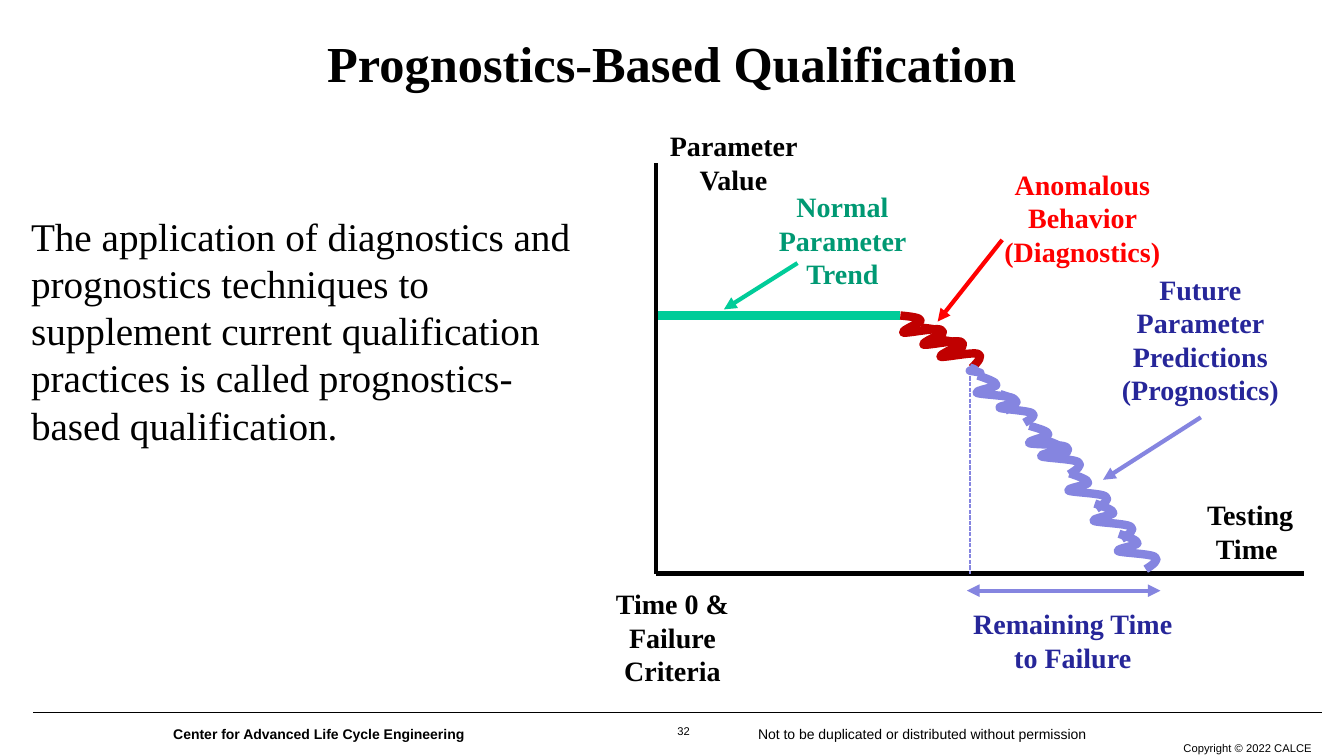
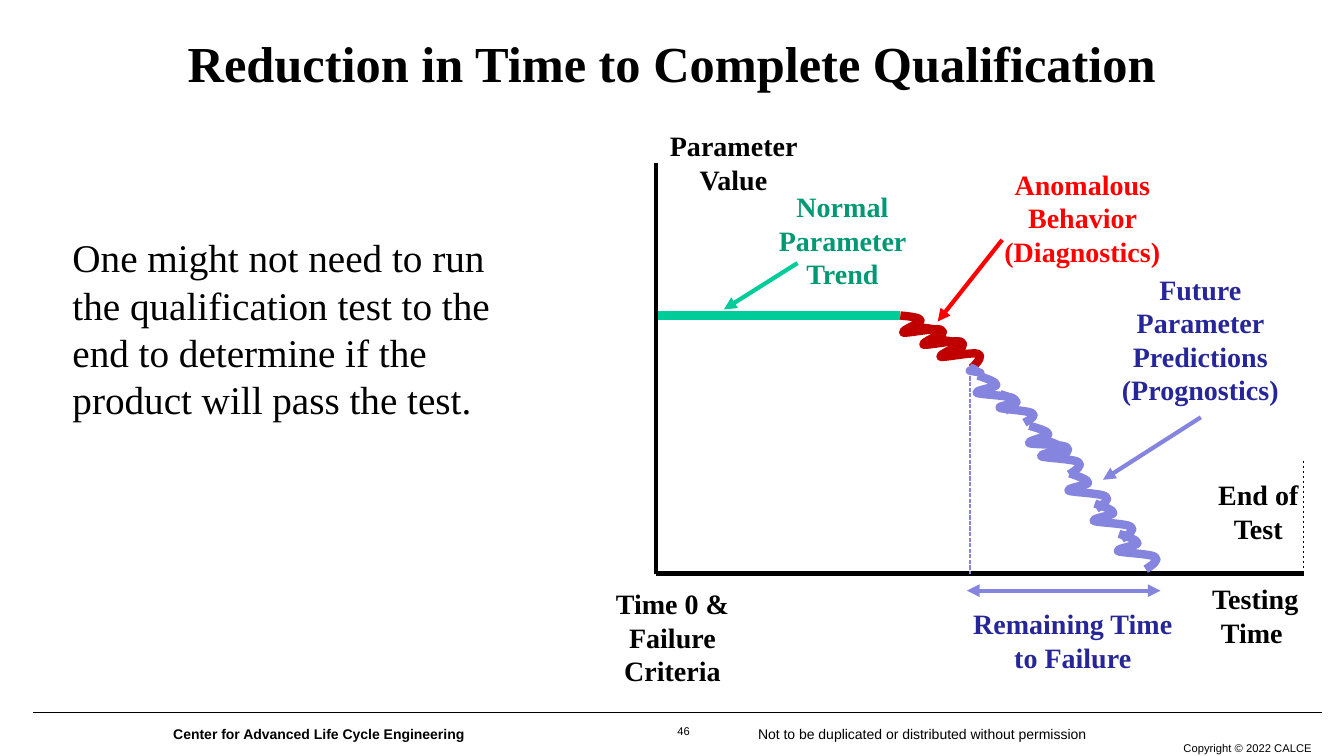
from dataclasses import dataclass
from typing import Optional

from lxml import etree
from pptx import Presentation
from pptx.dml.color import RGBColor
from pptx.enum.dml import MSO_LINE
from pptx.enum.shapes import MSO_CONNECTOR
from pptx.enum.text import MSO_ANCHOR, MSO_AUTO_SIZE, PP_ALIGN
from pptx.oxml.ns import qn
from pptx.util import Inches, Pt

BLACK = RGBColor(0x00, 0x00, 0x00)
RED = RGBColor(0xFF, 0x00, 0x00)
DARK_RED = RGBColor(0xC0, 0x00, 0x00)
GREEN = RGBColor(0x00, 0xCC, 0x99)
DARK_GREEN = RGBColor(0x00, 0x99, 0x73)
VIOLET = RGBColor(0x85, 0x85, 0xE0)
NAVY = RGBColor(0x26, 0x26, 0x99)

SERIF, SANS = "Times New Roman", "Arial"
LEFT, CENTER, RIGHT = PP_ALIGN.LEFT, PP_ALIGN.CENTER, PP_ALIGN.RIGHT
MIDDLE = MSO_ANCHOR.MIDDLE
GROW, FIXED = MSO_AUTO_SIZE.SHAPE_TO_FIT_TEXT, MSO_AUTO_SIZE.NONE
STRAIGHT = MSO_CONNECTOR.STRAIGHT
SHORT_DASH, DASH = MSO_LINE.SQUARE_DOT, MSO_LINE.DASH

SLIDE_W, SLIDE_H = 13.33, 7.5
AXIS_X, AXIS_Y, AXIS_END = 6.51, 5.69, 12.93
TREND_Y, TREND_END = 3.13, 8.93
WAVE_W, WAVE_H = 42, 28
WAVE_CURVES = [
    ((10, 1), (20, 2), (20, 5)),
    ((21, 7), (0, 15), (3, 17)),
    ((6, 18), (35, 12), (40, 14)),
    ((45, 16), (40, 22), (34, 28)),
]


@dataclass
class Label:
    text: str
    x: float
    y: float
    w: float
    h: float
    color: RGBColor = BLACK
    size: float = 20
    bold: bool = True
    font: str = SERIF
    align: PP_ALIGN = CENTER


@dataclass
class Line:
    x1: float
    y1: float
    x2: float
    y2: float
    color: RGBColor = BLACK
    width: float = 3
    dash: Optional[MSO_LINE] = None
    ends: tuple[str, ...] = ()


@dataclass
class Wave:
    x: float
    y: float
    rotation: float = 13.4
    color: RGBColor = VIOLET
    w: float = 0.42
    h: float = 0.28


@dataclass
class Page:
    number: str
    title: str
    body: Label
    labels: list[Label]
    lines: list[Line]


CHART_LINES = [
    Line(AXIS_X, AXIS_Y, AXIS_END, AXIS_Y),
    Line(9.62, 3.68, 9.62, AXIS_Y, VIOLET, 1, SHORT_DASH),
    Line(9.94, 2.38, 9.3, 3.19, RED, ends=("tailEnd",)),
    Line(11.91, 4.14, 10.94, 4.76, VIOLET, ends=("tailEnd",)),
    Line(7.91, 2.61, 7.18, 3.07, GREEN, ends=("tailEnd",)),
    Line(AXIS_X, TREND_Y, TREND_END, TREND_Y, GREEN, 6),
    Line(AXIS_X, AXIS_Y, AXIS_X, 1.62),
    Line(9.59, 5.86, 11.51, 5.86, VIOLET, ends=("headEnd", "tailEnd")),
]
WAVES = [
    Wave(10.3, 4.4),
    Wave(10.57, 4.74),
    Wave(10.82, 5.04),
    Wave(11.06, 5.34),
    Wave(9.66, 3.77),
    Wave(9.89, 3.95, w=0.37, h=0.22),
    Wave(TREND_END, TREND_Y, 0, DARK_RED),
    Wave(10.18, 4.26, 10.6),
    Wave(9.13, 3.25, 0, DARK_RED),
    Wave(9.3, 3.37, 0, DARK_RED),
    Wave(9.61, 3.66, w=0.12, h=0.05),
]
CHART_LABELS = [
    Label("Anomalous Behavior (Diagnostics)", 9.78, 1.61, 1.91, 1.11, RED),
    Label("Future Parameter Predictions (Prognostics)", 11.02, 2.65, 1.77, 1.45, NAVY),
    Label("Normal Parameter Trend", 7.55, 1.83, 1.61, 1.11, DARK_GREEN),
    Label("Parameter Value", 6.54, 1.23, 1.47, 0.77),
    Label("Remaining Time to Failure", 9.44, 5.97, 2.4, 0.77, NAVY),
    Label("Time 0 & Failure Criteria", 5.67, 5.77, 2, 1.11),
]
BODY_STYLE = {"size": 28, "bold": False, "align": LEFT}
SMALL_STYLE = {"size": 8, "bold": False, "font": SANS}
PAGES = [
    Page(
        "32",
        "Prognostics-Based Qualification",
        Label(
            "The application of diagnostics and prognostics techniques to supplement "
            "current qualification practices is called prognostics-based qualification.",
            0.21, 2.06, 5.73, 2.46, **BODY_STYLE,
        ),
        [Label("Testing Time ", 11.85, 4.89, 1.1, 0.77)],
        [],
    ),
    Page(
        "46",
        "Reduction in Time to Complete Qualification",
        Label(
            "One might not need to run the qualification test to the end to determine "
            "if the product will pass the test.",
            0.62, 2.27, 4.85, 1.99, **BODY_STYLE,
        ),
        [
            Label("Testing Time ", 11.9, 5.72, 1.1, 0.77),
            Label("End of Test", 11.92, 4.69, 1.12, 0.77),
        ],
        [Line(AXIS_END, 4.57, AXIS_END, AXIS_Y, BLACK, 0.5, DASH)],
    ),
]


def add_run(p, text: str, label: Label, bold: bool) -> None:
    r = p.add_run()
    r.text = text
    font = {"name": label.font, "size": Pt(label.size), "bold": bold}
    for name, value in font.items():
        setattr(r.font, name, value)
    r.font.color.rgb = label.color


def add_label(s, label: Label):
    sp = s.shapes.add_textbox(
        Inches(label.x), Inches(label.y), Inches(label.w), Inches(label.h)
    )
    tf = sp.text_frame
    tf.word_wrap = True
    tf.auto_size = GROW
    p = tf.paragraphs[0]
    p.alignment = label.align
    if label.text:
        add_run(p, label.text, label, label.bold)
    return tf


def add_line(s, line: Line) -> None:
    cn = s.shapes.add_connector(
        STRAIGHT, Inches(line.x1), Inches(line.y1), Inches(line.x2), Inches(line.y2)
    )
    cn.line.color.rgb = line.color
    cn.line.width = Pt(line.width)
    if line.dash is not None:
        cn.line.dash_style = line.dash
    sp_pr = cn._element.spPr
    ln = sp_pr.find(qn("a:ln"))
    for end in line.ends:
        etree.SubElement(ln, qn(f"a:{end}"), type="triangle")
    etree.SubElement(sp_pr, qn("a:effectLst"))


def set_wave_outline(sp) -> None:
    outline = next(sp._element.iter(qn("a:path")))
    outline.set("w", str(WAVE_W))
    outline.set("h", str(WAVE_H))
    for child in list(outline):
        outline.remove(child)
    for tag, points in [("moveTo", ((0, 0),))] + [
        ("cubicBezTo", curve) for curve in WAVE_CURVES
    ]:
        segment = etree.SubElement(outline, qn(f"a:{tag}"))
        for x, y in points:
            etree.SubElement(segment, qn("a:pt"), x=str(x), y=str(y))


def add_wave(s, wave: Wave) -> None:
    builder = s.shapes.build_freeform(Inches(wave.x), Inches(wave.y))
    corner = (Inches(wave.x + wave.w), Inches(wave.y + wave.h))
    builder.add_line_segments([corner], close=False)
    sp = builder.convert_to_shape()
    set_wave_outline(sp)
    sp.shadow.inherit = False
    sp.fill.background()
    sp.line.color.rgb = wave.color
    sp.line.width = Pt(6)
    sp.rotation = wave.rotation


def add_footer(s, number: str) -> None:
    tf = add_label(s, Label(number, 6.61, 7.16, 0.34, 0.22, **SMALL_STYLE))
    tf.paragraphs[0].line_spacing = 0.85
    add_line(s, Line(0.33, 7.07, 13.11, 7.07, width=1))
    add_label(
        s,
        Label("Copyright © 2022 CALCE", 11.03, 7.31, 2.08, 0.24,
              align=RIGHT, **SMALL_STYLE),
    )
    notice = Label("", 1.62, 7.15, 9.67, 0.27, size=10, font=SANS, align=LEFT)
    p = add_label(s, notice).paragraphs[0]
    tabs = etree.SubElement(p._p.get_or_add_pPr(), qn("a:tabLst"))
    etree.SubElement(tabs, qn("a:tab"), pos=str(Inches(5.8)), algn="l")
    add_run(p, "Center for Advanced Life Cycle Engineering\t", notice, True)
    add_run(p, "Not to be duplicated or distributed without permission", notice, False)


def add_title(s, title: str) -> None:
    tf = add_label(s, Label(title, 0, 0, SLIDE_W, 1.23, size=36))
    tf.auto_size = FIXED
    tf.vertical_anchor = MIDDLE


def add_page(prs, page: Page) -> None:
    s = prs.slides.add_slide(prs.slide_layouts[6])
    add_footer(s, page.number)
    add_title(s, page.title)
    body = add_label(s, page.body)
    body.paragraphs[0].space_after = Pt(6)
    for line in CHART_LINES + page.lines:
        add_line(s, line)
    for wave in WAVES:
        add_wave(s, wave)
    for label in CHART_LABELS + page.labels:
        add_label(s, label)


def main() -> None:
    prs = Presentation()
    prs.slide_width = Inches(SLIDE_W)
    prs.slide_height = Inches(SLIDE_H)
    for page in PAGES:
        add_page(prs, page)
    prs.save("out.pptx")


if __name__ == "__main__":
    main()
